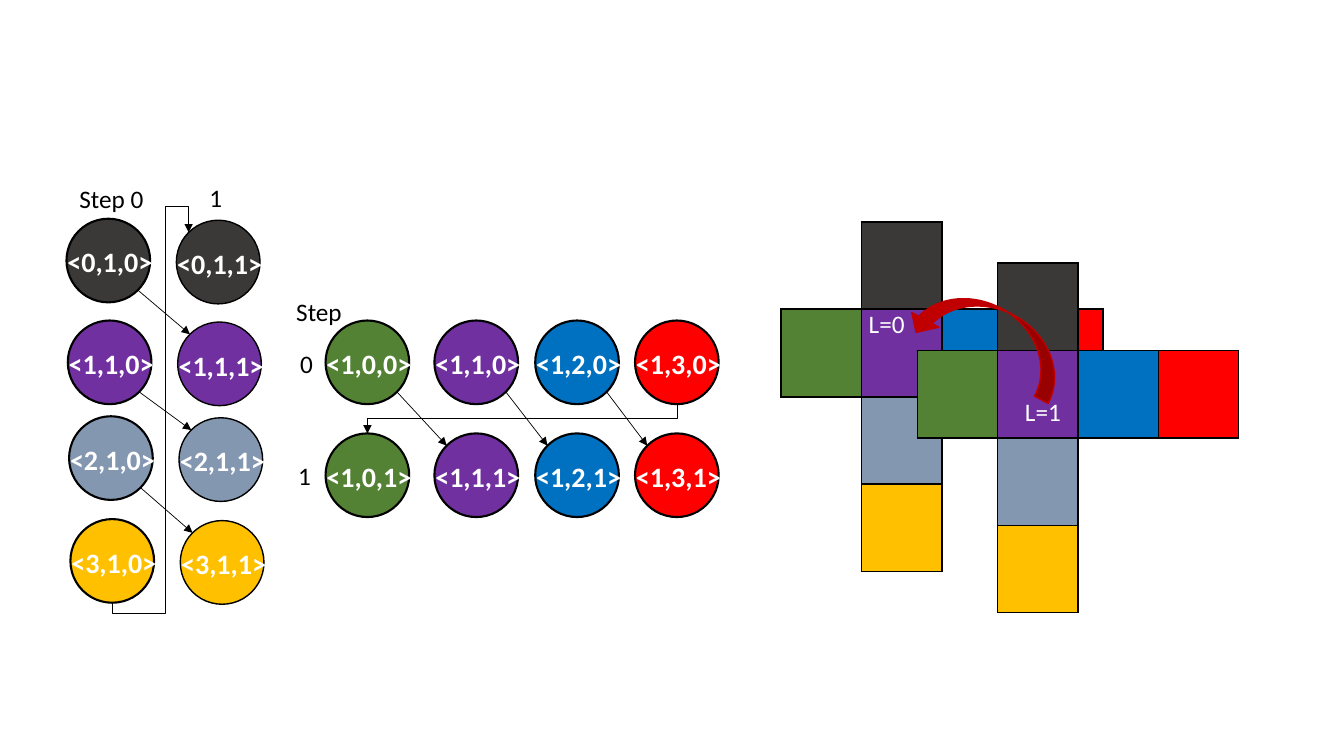
from dataclasses import dataclass
from math import sqrt

from lxml.etree import SubElement
from pptx import Presentation
from pptx.dml.color import RGBColor
from pptx.enum.shapes import MSO_CONNECTOR as Link, MSO_SHAPE as Shape
from pptx.enum.text import MSO_AUTO_SIZE as AutoSize
from pptx.oxml.ns import qn
from pptx.util import Inches, Pt


@dataclass(frozen=True)
class Theme:
    font: str = "Calibri"
    node_size: int = 20
    note_size: int = 18
    thin: float = 0.5
    medium: float = 1
    thick: float = 1.5
    black: str = "000000"
    white: str = "FFFFFF"
    charcoal: str = "3B3838"
    purple: str = "7030A0"
    slate: str = "8497B0"
    gold: str = "FFC000"
    green: str = "548235"
    blue: str = "0070C0"
    red: str = "FF0000"
    crimson: str = "C00000"


THEME = Theme()
DIAGONAL = 1 / sqrt(2)
DIAMETER = 8.3
NO_STYLE = "{2D5ABB26-0587-4C30-8999-92F81FD0307C}"
SIDES = {"a:lnL": (0, -1), "a:lnR": (0, 1), "a:lnT": (-1, 0), "a:lnB": (1, 0)}
CROSS = {
    (0, 1): THEME.charcoal,
    (1, 0): THEME.green,
    (1, 1): THEME.purple,
    (1, 2): THEME.blue,
    (1, 3): THEME.red,
    (2, 1): THEME.slate,
    (3, 1): THEME.gold,
}


def grid(units):
    return Inches(units / 10)


def add_figure(page, kind, left, top, width, height, fill, line, weight):
    figure = page.shapes.add_shape(kind, *map(grid, (left, top, width, height)))
    figure.shadow.inherit = False
    figure.fill.solid()
    figure.fill.fore_color.rgb = RGBColor.from_string(fill)
    figure.line.color.rgb = RGBColor.from_string(line)
    figure.line.width = Pt(weight)
    return figure


def add_label(page, text, left, top, width, height, size, color, bold=False):
    box = page.shapes.add_textbox(*map(grid, (left, top, width, height)))
    frame = box.text_frame
    frame.word_wrap = True
    frame.auto_size = AutoSize.SHAPE_TO_FIT_TEXT
    frame.text = text
    font = frame.paragraphs[0].runs[0].font
    font.name = THEME.font
    font.size = Pt(size)
    font.bold = bold
    font.color.rgb = RGBColor.from_string(color)


def add_note(page, text, left, top, width, color=THEME.black):
    add_label(page, text, left, top, width, 4, THEME.note_size, color)


def add_node(page, text, left, top, fill, weight):
    node = add_figure(page, Shape.OVAL, left, top, DIAMETER, DIAMETER,
                      fill, THEME.black, weight)
    add_label(page, text, left - 0.9, top + 2.1, 10.8, 4.4,
              THEME.node_size, THEME.white, bold=True)
    return node


def port(node, across, down):
    radius = node.width / 2
    return (node.left + radius * (1 + across), node.top + radius * (1 + down))


def add_arrow(page, start, end, kind=Link.STRAIGHT):
    arrow = page.shapes.add_connector(kind, *map(round, (*start, *end)))
    arrow.line.color.rgb = RGBColor.from_string(THEME.black)
    arrow.line.width = Pt(THEME.thin)
    SubElement(arrow.line._get_or_add_ln(), qn("a:tailEnd"), type="triangle")
    SubElement(arrow._element.spPr, qn("a:effectLst"))
    return arrow


def add_bent_arrow(page, start, end, preset, bends=()):
    middle_x, middle_y = (start[0] + end[0]) / 2, (start[1] + end[1]) / 2
    turned = [(middle_x + y - middle_y, middle_y - x + middle_x)
              for x, y in (start, end)]
    properties = add_arrow(page, *turned, Link.ELBOW)._element.spPr
    properties.find(qn("a:xfrm")).set("rot", "5400000")
    geometry = properties.find(qn("a:prstGeom"))
    geometry.set("prst", preset)
    guides = geometry.find(qn("a:avLst"))
    for number, bend in enumerate(bends, 1):
        SubElement(guides, qn("a:gd"), name=f"adj{number}",
                   fmla=f"val {round(bend * 100000)}")


def add_diagonals(page, sources, targets):
    for source, target in zip(sources, targets[1:]):
        add_arrow(page, port(source, DIAGONAL, DIAGONAL),
                  port(target, -DIAGONAL, -DIAGONAL))


def add_border(cell, side, weight, visible):
    line = SubElement(cell._tc.get_or_add_tcPr(), qn(side), w=str(Pt(weight)))
    if visible:
        fill = SubElement(line, qn("a:solidFill"))
        SubElement(fill, qn("a:srgbClr"), val=THEME.black)
    else:
        SubElement(line, qn("a:noFill"))


def add_cube_net(page, left, top, weight):
    frame = page.shapes.add_table(4, 4, *map(grid, (left, top, 31.9, 34.7)))
    table = frame.table
    table.first_row = table.horz_banding = False
    table._tbl.tblPr.find(qn("a:tableStyleId")).text = NO_STYLE
    for row in range(4):
        for column in range(4):
            cell = table.cell(row, column)
            color = CROSS.get((row, column))
            for side, (down, across) in SIDES.items():
                neighbour = (row + down, column + across)
                add_border(cell, side, weight, color or neighbour in CROSS)
            if color:
                cell.fill.solid()
                cell.fill.fore_color.rgb = RGBColor.from_string(color)
            else:
                cell.fill.background()


def add_vertical_ring(page):
    colors = (THEME.charcoal, THEME.purple, THEME.slate, THEME.gold)
    tops = (21.7, 31.8, 41.3, 51.5)
    steps = [
        [add_node(page, f"<{index},1,{step}>", 6.6 + 0.13 * index + 10.9 * step,
                  top + 0.15 * step, color, weight)
         for index, (top, color) in enumerate(zip(tops, colors))]
        for step, weight in enumerate((THEME.thick, THEME.medium))
    ]
    add_note(page, "Step 0", 6.9, 17.7, 9.4)
    add_note(page, "1", 19.8, 17.6, 9.4)
    add_diagonals(page, *steps)
    add_bent_arrow(page, port(steps[0][-1], 0, 1),
                   port(steps[1][0], -DIAGONAL, -DIAGONAL),
                   "bentConnector5", (-0.03, 0.69, 1.07))


def add_horizontal_ring(page):
    colors = (THEME.green, THEME.purple, THEME.blue, THEME.red)
    lefts = (32.3, 43.1, 53.1, 63)
    steps = [
        [add_node(page, f"<1,{index},{step}>", left, 31.8 + 11.2 * step,
                  color, THEME.thick)
         for index, (left, color) in enumerate(zip(lefts, colors))]
        for step in range(2)
    ]
    add_diagonals(page, *steps)
    add_bent_arrow(page, port(steps[0][-1], 0, 1), port(steps[1][0], 0, -1),
                   "bentConnector3")
    add_note(page, "0", 28.8, 34.1, 5.5)
    add_note(page, "1", 28.6, 45.2, 5.5)
    add_note(page, "Step", 28.4, 28.9, 7.2)


def add_layers(page):
    add_cube_net(page, 77.5, 22, THEME.thick)
    add_note(page, "L=0", 85.2, 30.1, 10.4, THEME.white)
    add_cube_net(page, 91, 26.1, THEME.medium)
    jump = add_figure(page, Shape.CURVED_UP_ARROW, 90, 30.4, 16.4, 6.1,
                      THEME.crimson, THEME.crimson, THEME.medium)
    jump.rotation = 208.3
    add_note(page, "L=1", 100.7, 38.8, 10.4, THEME.white)


def main():
    deck = Presentation()
    deck.slide_width, deck.slide_height = grid(133.33), grid(75)
    page = deck.slides.add_slide(deck.slide_layouts[6])
    add_vertical_ring(page)
    add_horizontal_ring(page)
    add_layers(page)
    deck.save("out.pptx")


if __name__ == "__main__":
    main()
